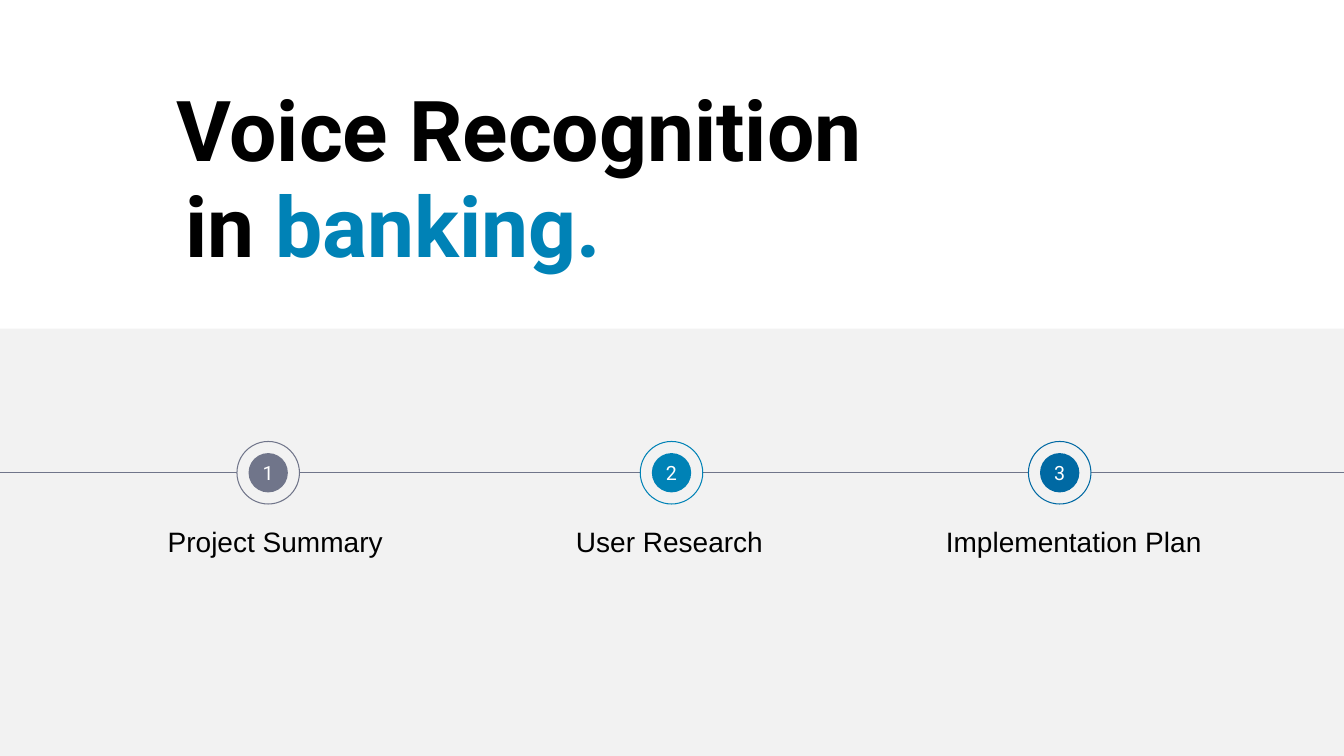
from pptx import Presentation
from pptx.dml.color import RGBColor
from pptx.enum.shapes import MSO_CONNECTOR, MSO_SHAPE
from pptx.enum.text import MSO_ANCHOR, PP_ALIGN
from pptx.oxml.ns import qn
from pptx.util import Inches, Pt
from lxml import etree

OVAL, RECTANGLE = MSO_SHAPE.OVAL, MSO_SHAPE.RECTANGLE
STRAIGHT = MSO_CONNECTOR.STRAIGHT
CENTER = PP_ALIGN.CENTER
TOP, MIDDLE, BOTTOM = MSO_ANCHOR.TOP, MSO_ANCHOR.MIDDLE, MSO_ANCHOR.BOTTOM

BLACK = RGBColor(0x00, 0x00, 0x00)
WHITE = RGBColor(0xFF, 0xFF, 0xFF)
PALE = RGBColor(0xF2, 0xF2, 0xF2)
SLATE = RGBColor(0x70, 0x75, 0x8A)
CYAN = RGBColor(0x00, 0x82, 0xB6)
BLUE = RGBColor(0x00, 0x69, 0xA3)

SLIDE_WIDTH, SLIDE_HEIGHT = 13.33, 7.5
RING, DISC = 0.62, 0.39
STEPS = [
    ("Project Summary", SLATE, 2.66, 2.73),
    ("User Research", CYAN, 6.66, 6.64),
    ("Implementation Plan", BLUE, 10.51, 10.65),
]


def write(box, runs, font, size, anchor, bold=False, spacing=None):
    frame = box.text_frame
    frame.word_wrap = True
    frame.vertical_anchor = anchor
    paragraph = frame.paragraphs[0]
    paragraph.alignment = CENTER
    paragraph.line_spacing = spacing
    paragraph.font.name = font
    paragraph.font.size = Pt(size)
    paragraph.font.bold = bold
    for text, color in runs:
        run = paragraph.add_run()
        run.text = text
        run.font.color.rgb = color


def add_text(slide, center, top, width, height, *args, **options):
    box = slide.shapes.add_textbox(
        Inches(center - width / 2), Inches(top), Inches(width), Inches(height))
    write(box, *args, **options)


def add_filled(slide, kind, left, top, width, height, fill, outline=None):
    shape = slide.shapes.add_shape(
        kind, Inches(left), Inches(top), Inches(width), Inches(height))
    shape.shadow.inherit = False
    shape.fill.solid()
    shape.fill.fore_color.rgb = fill
    if outline is None:
        shape.line.fill.background()
    else:
        shape.line.color.rgb = outline
        shape.line.width = Pt(0.75)


def add_circle(slide, center, middle, size, fill, outline=None):
    add_filled(slide, OVAL, center - size / 2, middle - size / 2,
               size, size, fill, outline)


def add_heading(slide, left, top, width, height):
    title = slide.shapes.title
    title.left, title.top = Inches(left), Inches(top)
    title.width, title.height = Inches(width), Inches(height)
    write(title, [("Voice Recognition", BLACK)], "Roboto", 60, BOTTOM,
          bold=True, spacing=0.9)
    add_text(slide, left + width / 2 - 1.25, top + 0.95, 7.8, height,
             [("in ", BLACK), ("banking.", CYAN)], "Roboto", 60, BOTTOM,
             bold=True, spacing=0.9)


def add_step(slide, number, label, color, center, label_center, middle):
    add_circle(slide, center, middle, RING, PALE, color)
    add_circle(slide, center, middle, DISC, color)
    add_text(slide, center, middle - 0.64, 1.06, 1.31,
             [(str(number), WHITE)], "Roboto", 14, MIDDLE, spacing=0.9)
    add_text(slide, label_center, middle + 0.46, 3.64, 0.44,
             [(label, BLACK)], "Arial", 20, TOP)


def add_timeline(slide, left, top, width, height):
    add_filled(slide, RECTANGLE, left, top, width, height, PALE)
    middle = top + 1.43
    axis = slide.shapes.add_connector(
        STRAIGHT, Inches(left), Inches(middle),
        Inches(left + width), Inches(middle))
    axis.line.color.rgb = SLATE
    axis.line.width = Pt(1)
    etree.SubElement(axis._element.spPr, qn("a:effectLst"))
    for number, (label, color, center, label_center) in enumerate(STEPS, 1):
        add_step(slide, number, label, color, left + center,
                 left + label_center, middle)


def main():
    deck = Presentation()
    deck.slide_width = Inches(SLIDE_WIDTH)
    deck.slide_height = Inches(SLIDE_HEIGHT)
    slide = deck.slides.add_slide(deck.slide_layouts[5])
    slide.background.fill.solid()
    slide.background.fill.fore_color.rgb = WHITE
    add_timeline(slide, 0, 3.26, SLIDE_WIDTH, SLIDE_HEIGHT - 3.26)
    add_heading(slide, 0.15, 0.52, 10, 1.31)
    deck.save("out.pptx")


if __name__ == "__main__":
    main()
